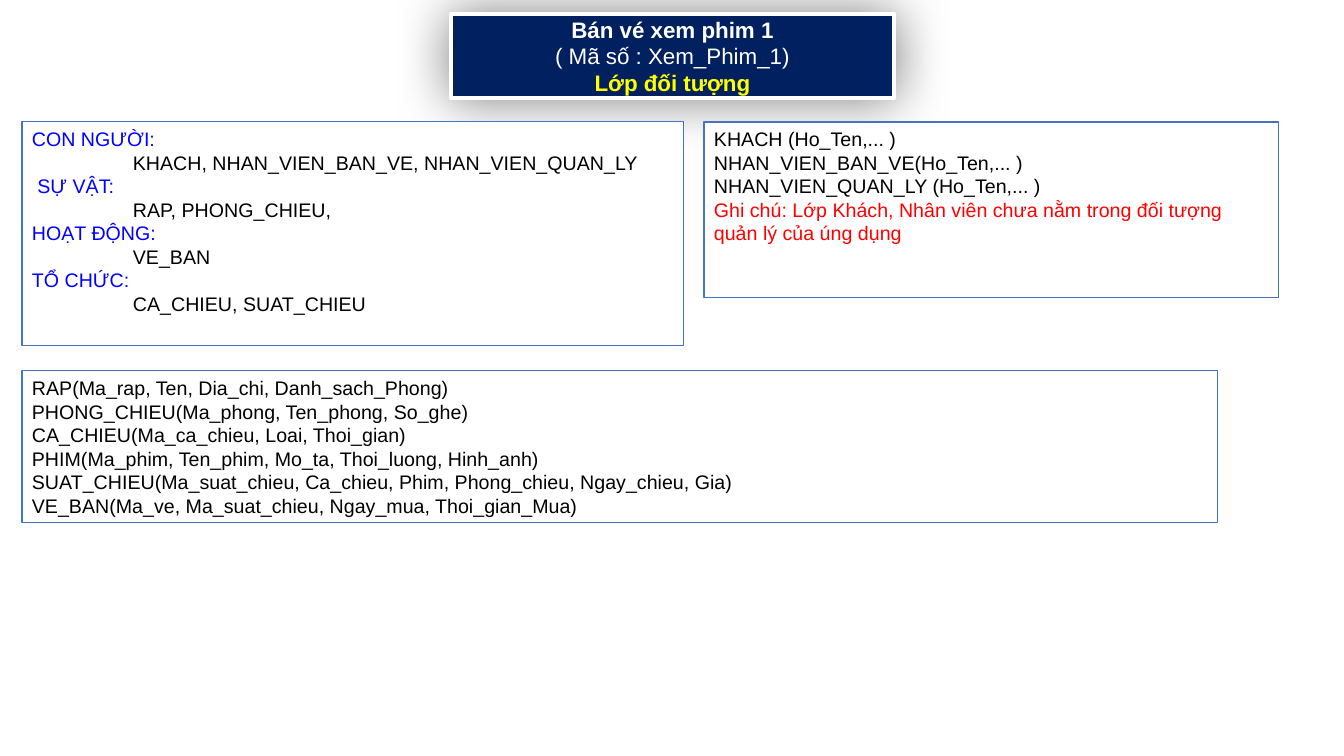
import dataclasses

import pptx
import pptx.dml.color
import pptx.enum.shapes
import pptx.enum.text
import pptx.oxml
import pptx.oxml.ns
import pptx.util

PX = 12192000 / 1344


@dataclasses.dataclass(frozen=True)
class Theme:
    """Colours, font and type sizes of the slide."""
    font: str = "Arial"
    title_size: int = 16
    body_size: int = 14
    navy: str = "002060"
    white: str = "FFFFFF"
    yellow: str = "FFFF00"
    border: str = "4472C4"
    heading: str = "0000FF"
    black: str = "000000"
    note: str = "FF0000"


THEME = Theme()

GROUPS = [
    ("CON NGƯỜI:", "KHACH, NHAN_VIEN_BAN_VE, NHAN_VIEN_QUAN_LY"),
    (" SỰ VẬT:", "RAP, PHONG_CHIEU,"),
    ("HOẠT ĐỘNG:", "VE_BAN"),
    ("TỔ CHỨC:", "CA_CHIEU, SUAT_CHIEU"),
]
PEOPLE = [
    "KHACH (Ho_Ten,... )",
    "NHAN_VIEN_BAN_VE(Ho_Ten,... )",
    "NHAN_VIEN_QUAN_LY (Ho_Ten,... )",
]
NOTE = "Ghi chú: Lớp Khách, Nhân viên chưa nằm trong đối tượng quản lý của úng dụng"
CLASSES = [
    "RAP(Ma_rap, Ten, Dia_chi, Danh_sach_Phong)",
    "PHONG_CHIEU(Ma_phong, Ten_phong, So_ghe)",
    "CA_CHIEU(Ma_ca_chieu, Loai, Thoi_gian)",
    "PHIM(Ma_phim, Ten_phim, Mo_ta, Thoi_luong, Hinh_anh)",
    "SUAT_CHIEU(Ma_suat_chieu, Ca_chieu, Phim, Phong_chieu, Ngay_chieu, Gia)",
    "VE_BAN(Ma_ve, Ma_suat_chieu, Ngay_mua, Thoi_gian_Mua)",
]


def px(length):
    """Turn px into EMU."""
    return pptx.util.Emu(round(length * PX))


def rgb(colour):
    """Turn a hex string into a colour."""
    return pptx.dml.color.RGBColor.from_string(colour)


def paint(shape, fill, line, width):
    """Set the fill and the outline of a shape."""
    shape.fill.solid()
    shape.fill.fore_color.rgb = rgb(fill)
    shape.line.color.rgb = rgb(line)
    shape.line.width = pptx.util.Pt(width)


def prepare_frame(shape, anchor):
    """Make the text of a shape wrap at a fixed size."""
    frame = shape.text_frame
    frame.word_wrap = True
    frame.auto_size = pptx.enum.text.MSO_AUTO_SIZE.NONE
    frame.vertical_anchor = anchor


def write(shape, text, *, colour=THEME.black, size=THEME.body_size, bold=False,
          align=pptx.enum.text.PP_ALIGN.LEFT, indent=0):
    """Add one formatted paragraph to a shape."""
    frame = shape.text_frame
    para = frame.add_paragraph() if frame.text else frame.paragraphs[0]
    para.alignment = align
    para.line_spacing = 1.0
    if indent:
        para._p.get_or_add_pPr().set("marL", str(px(indent)))
    span = para.add_run()
    span.text = text
    span.font.name = THEME.font
    span.font.size = pptx.util.Pt(size)
    span.font.bold = bold
    span.font.color.rgb = rgb(colour)


def add_glow_shadow(shape):
    """Give a shape a soft shadow on all sides."""
    namespace = pptx.oxml.ns.nsdecls("a")
    shape.shadow.inherit = False
    effects = shape.element.spPr.find(pptx.oxml.ns.qn("a:effectLst"))
    effects.append(pptx.oxml.parse_xml(
        f'<a:outerShdw {namespace} blurRad="{pptx.util.Pt(38)}" dist="0" dir="5400000" '
        f'algn="ctr" rotWithShape="0"><a:srgbClr val="{THEME.black}">'
        '<a:alpha val="49000"/></a:srgbClr></a:outerShdw>'))


def format_title(page):
    """Turn the title placeholder into the rounded banner."""
    title = page.shapes.title
    title.left, title.top, title.width, title.height = map(px, (451, 14, 443, 84))
    title.element.spPr.append(pptx.oxml.parse_xml(
        f'<a:prstGeom {pptx.oxml.ns.nsdecls("a")} prst="roundRect"><a:avLst/></a:prstGeom>'))
    paint(title, THEME.navy, THEME.white, 3)
    add_glow_shadow(title)
    prepare_frame(title, pptx.enum.text.MSO_ANCHOR.MIDDLE)
    for text, colour, bold in [
        ("Bán vé xem phim 1", THEME.white, True),
        ("( Mã số : Xem_Phim_1)", THEME.white, False),
        ("Lớp đối tượng", THEME.yellow, True),
    ]:
        write(title, text, colour=colour, size=THEME.title_size, bold=bold,
              align=pptx.enum.text.PP_ALIGN.CENTER)


def add_box(page, left, top, width, height):
    """Add a white box with a thin blue outline."""
    box = page.shapes.add_shape(pptx.enum.shapes.MSO_SHAPE.RECTANGLE,
                                *map(px, (left, top, width, height)))
    box.shadow.inherit = False
    paint(box, THEME.white, THEME.border, 0.75)
    prepare_frame(box, pptx.enum.text.MSO_ANCHOR.TOP)
    return box


def main():
    """Build the slide and save it."""
    deck = pptx.Presentation()
    deck.slide_width, deck.slide_height = px(1344), px(756)
    page = deck.slides.add_slide(deck.slide_layouts.get_by_name("Title Only"))
    format_title(page)

    groups_box = add_box(page, 22, 122, 662, 224)
    for heading, members in GROUPS:
        write(groups_box, heading, colour=THEME.heading)
        write(groups_box, members, indent=101)

    classes_box = add_box(page, 22, 371, 1196, 152)
    for line in CLASSES:
        write(classes_box, line)

    people_box = add_box(page, 704, 122, 575, 176)
    for line in PEOPLE:
        write(people_box, line)
    write(people_box, NOTE, colour=THEME.note)

    deck.save("out.pptx")


if __name__ == "__main__":
    main()
